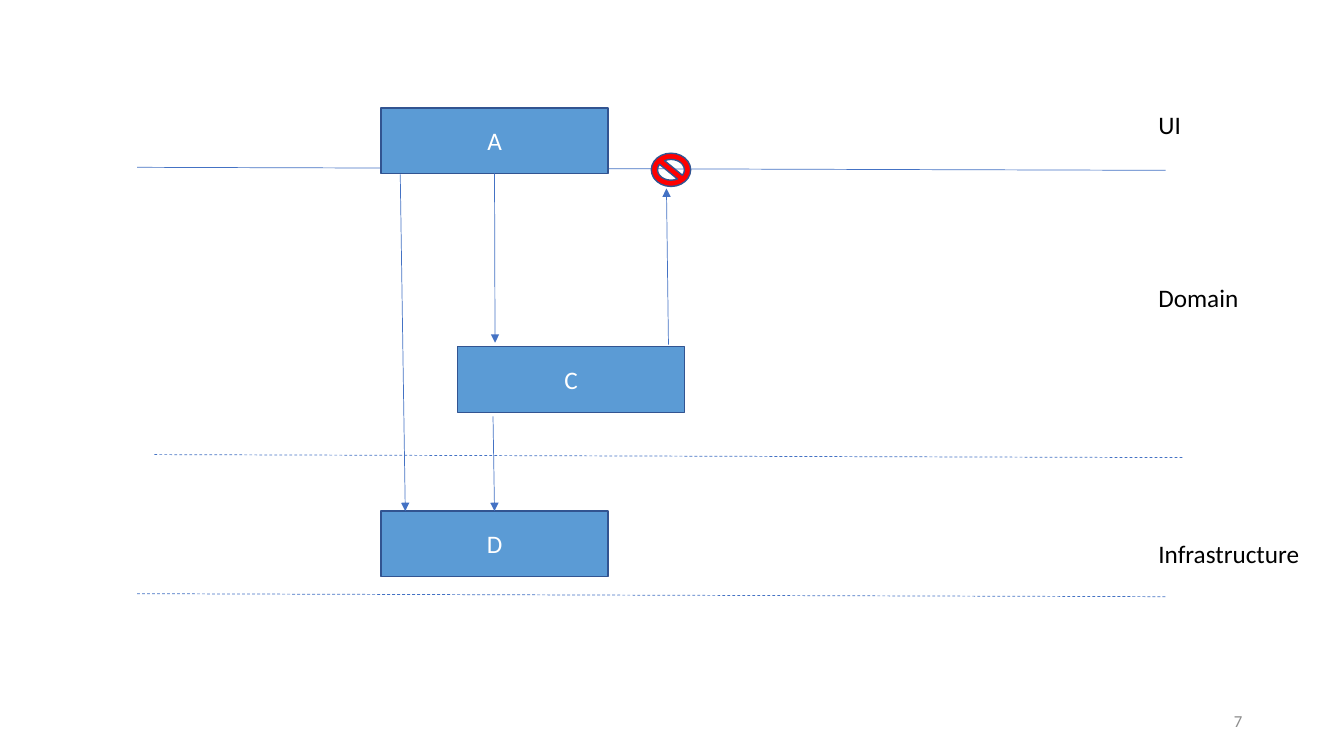
from typing import NamedTuple, Optional

from lxml import etree
from pptx import Presentation
from pptx import util as u
from pptx.dml.color import RGBColor
from pptx.enum import dml, shapes, text
from pptx.oxml.ns import qn

FONT = "Calibri"
BOX_FILL, BOX_LINE, LINE_COLOUR = "5B9BD5", "325491", "4472C4"
BOX_WIDTH, BOX_HEIGHT = 2.25, 0.65
TEXT_HEIGHT = 0.4
BORDER_LENGTH, BORDER_DROP = 10.2, 0.03
TOP, BOTTOM = 0, 2


class Border(NamedTuple):
    left: float
    top: float
    dashed: bool


class Layer(NamedTuple):
    name: str
    top: float
    width: float


class Component(NamedTuple):
    name: str
    left: float
    top: float


class Arrow(NamedTuple):
    start: tuple[float, float]
    end: tuple[float, float]
    source: Optional[str] = None
    target: Optional[str] = None


BORDERS = [Border(1.36, 1.66, False), Border(1.53, 4.51, True), Border(1.36, 5.89, True)]
LAYERS = [Layer("UI", 1.04, 0.48), Layer("Domain", 2.75, 1.13),
          Layer("Infrastructure", 5.29, 2.22)]
COMPONENTS = [Component("A", 3.78, 1.07), Component("C", 4.54, 3.44),
              Component("D", 3.78, 5.07)]
ARROWS = [
    Arrow((3.97, 1.73), (4.02, 5.07)),
    Arrow((4.91, 1.72), (4.91, 3.4), source="A"),
    Arrow((4.89, 4.13), (4.91, 5.07), target="D"),
    Arrow((6.63, 3.42), (6.61, 1.87)),
]


def colour(value: str) -> RGBColor:
    return RGBColor.from_string(value)


def write(shape, words: str, size: float, hue: str, align) -> None:
    shape.text_frame.word_wrap = True
    para = shape.text_frame.paragraphs[0]
    para.text = words
    para.alignment = align
    para.font.name = FONT
    para.font.size = u.Pt(size)
    para.font.color.rgb = colour(hue)


def add_text(page, words: str, left: float, top: float, width: float,
             size: float, hue: str, align=text.PP_ALIGN.LEFT):
    box = page.shapes.add_textbox(*map(u.Inches, (left, top, width, TEXT_HEIGHT)))
    write(box, words, size, hue, align)
    return box


def add_outlined(page, kind, left: float, top: float, width: float, height: float, fill: str):
    shape = page.shapes.add_shape(kind, *map(u.Inches, (left, top, width, height)))
    shape.shadow.inherit = False
    shape.fill.solid()
    shape.fill.fore_color.rgb = colour(fill)
    shape.line.color.rgb = colour(BOX_LINE)
    shape.line.width = u.Pt(1)
    return shape


def add_component(page, component: Component):
    box = add_outlined(page, shapes.MSO_SHAPE.RECTANGLE, component.left, component.top,
                       BOX_WIDTH, BOX_HEIGHT, BOX_FILL)
    box.text_frame.vertical_anchor = text.MSO_ANCHOR.MIDDLE
    write(box, component.name, 18, "FFFFFF", text.PP_ALIGN.CENTER)
    return box


def add_line(page, start: tuple[float, float], end: tuple[float, float]):
    line = page.shapes.add_connector(shapes.MSO_CONNECTOR.STRAIGHT,
                                     *map(u.Inches, (*start, *end)))
    line.line.color.rgb = colour(LINE_COLOUR)
    line.line.width = u.Pt(0.5)
    etree.SubElement(line._element.spPr, qn("a:effectLst"))
    return line


def add_border(page, border: Border) -> None:
    line = add_line(page, (border.left, border.top),
                    (border.left + BORDER_LENGTH, border.top + BORDER_DROP))
    if border.dashed:
        line.line.dash_style = dml.MSO_LINE.DASH


def add_arrow(page, arrow: Arrow, boxes: dict) -> None:
    line = add_line(page, arrow.start, arrow.end)
    etree.SubElement(line.line._get_or_add_ln(), qn("a:tailEnd"), type="triangle")
    if arrow.source:
        line.begin_connect(boxes[arrow.source], BOTTOM)
    if arrow.target:
        line.end_connect(boxes[arrow.target], TOP)


def main() -> None:
    deck = Presentation()
    deck.slide_width, deck.slide_height = u.Inches(13.33), u.Inches(7.5)
    page = deck.slides.add_slide(deck.slide_layouts[6])

    for border in BORDERS:
        add_border(page, border)
    for layer in LAYERS:
        label = add_text(page, layer.name, 11.39, layer.top, layer.width, 18, "000000")
        label.text_frame.auto_size = text.MSO_AUTO_SIZE.SHAPE_TO_FIT_TEXT
    boxes = {component.name: add_component(page, component) for component in COMPONENTS}
    for arrow in ARROWS:
        add_arrow(page, arrow, boxes)
    add_outlined(page, shapes.MSO_SHAPE.NO_SYMBOL, 6.46, 1.52, 0.39, 0.33, "FF0000")

    number = add_text(page, "7", 9.42, 6.95, 3, 12, "8C8C8C", text.PP_ALIGN.RIGHT)
    number.text_frame.vertical_anchor = text.MSO_ANCHOR.MIDDLE

    deck.save("out.pptx")


if __name__ == "__main__":
    main()
